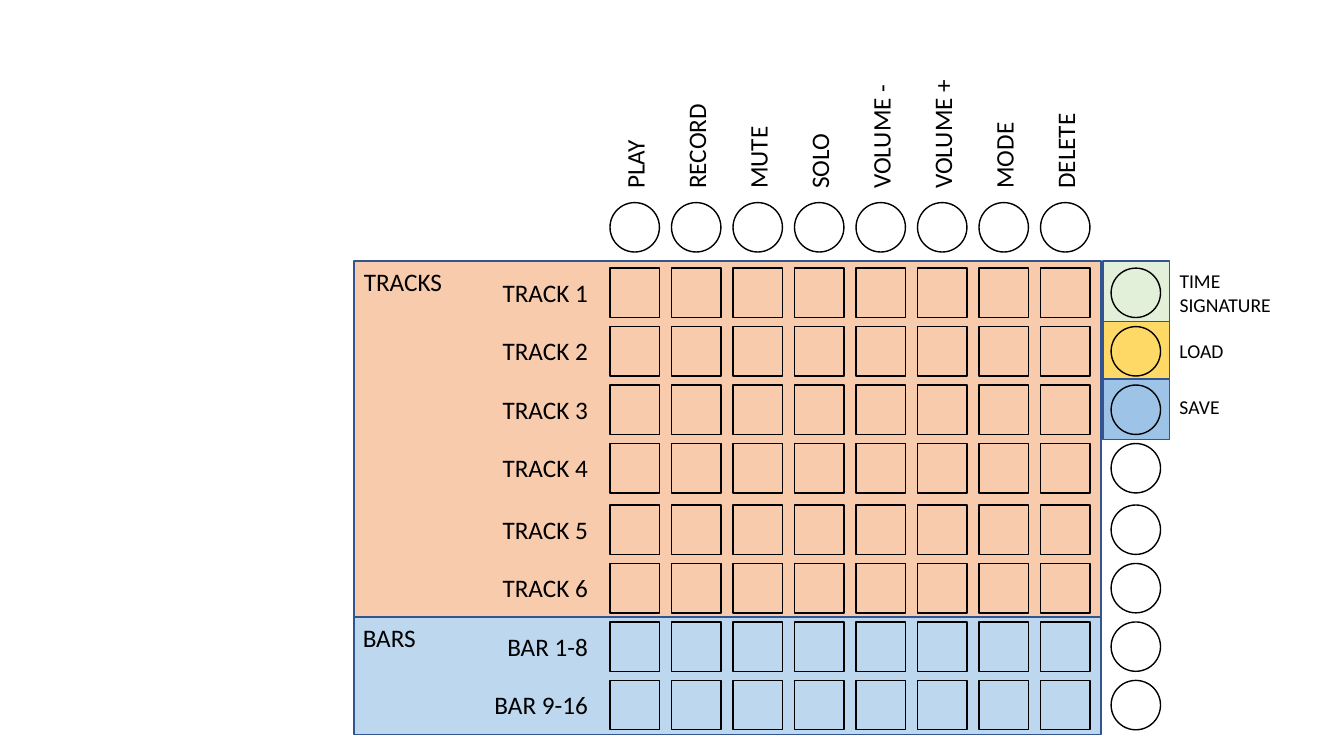
from typing import NamedTuple, Optional

from pptx import Presentation
from pptx.dml.color import RGBColor
from pptx.enum.shapes import MSO_SHAPE
from pptx.enum.text import MSO_AUTO_SIZE, PP_ALIGN
from pptx.util import Inches, Pt

BLACK = RGBColor(0x00, 0x00, 0x00)
NAVY = RGBColor(0x32, 0x54, 0x91)
YELLOW = RGBColor(0xFF, 0xD9, 0x66)
BLUE = RGBColor(0x9D, 0xC3, 0xE6)
GREEN = RGBColor(0xE2, 0xF0, 0xD9)
PALE_BLUE = RGBColor(0xBD, 0xD7, 0xEE)
ORANGE = RGBColor(0xF8, 0xCB, 0xAD)

BUTTON = 0.49
COLUMN_LEFT, COLUMN_STEP = 6.05, 0.61
ROW_TOP, ROW_STEP = 2.66, 0.58
HALF_GAP = 0.03  # extra space between the upper and lower four rows
LABEL_HEIGHT = 0.4
ROW_LABEL_RIGHT = 5.93
COLUMN_LABEL_BOTTOM = 1.97
SIDE_LEFT = 11.02


class Panel(NamedTuple):
    left: float
    top: float
    width: float
    height: float
    fill: RGBColor


class Label(NamedTuple):
    text: str
    width: float


class PlacedLabel(NamedTuple):
    text: str
    left: float
    top: float
    width: float
    height: float
    size: int


PANELS = [
    Panel(10.94, 3.18, 0.66, 0.6, YELLOW),
    Panel(10.94, 3.76, 0.66, 0.6, BLUE),
    Panel(10.94, 2.59, 0.66, 0.6, GREEN),
    Panel(3.51, 6.12, 7.41, 1.17, PALE_BLUE),
    Panel(3.51, 2.59, 7.41, 3.53, ORANGE),
]
COLUMNS = [
    Label("PLAY", 0.69), Label("RECORD", 1.05), Label("MUTE", 0.82), Label("SOLO", 0.75),
    Label("VOLUME -", 1.25), Label("VOLUME +", 1.29), Label("MODE", 0.86), Label("DELETE", 0.96),
]
ROWS = [Label(f"TRACK {n}", 1.06) for n in range(1, 7)]
ROWS += [Label("BAR 1-8", 1.01), Label("BAR 9-16", 1.14)]
PLACED_LABELS = [
    PlacedLabel("BARS", 3.5, 6.12, 0.73, 0.4, 18),
    PlacedLabel("TRACKS", 3.51, 2.59, 0.99, 0.4, 18),
    PlacedLabel("TIME\nSIGNATURE", 11.6, 2.62, 1.12, 0.57, 14),
    PlacedLabel("LOAD", 11.6, 3.31, 0.64, 0.34, 14),
    PlacedLabel("SAVE", 11.6, 3.87, 0.6, 0.34, 14),
]

prs = Presentation()
prs.slide_width, prs.slide_height = Inches(13.33), Inches(7.5)
s = prs.slides.add_slide(prs.slide_layouts[6])


def add_outline(kind: MSO_SHAPE, left: float, top: float, width: float, height: float,
                line: RGBColor = BLACK, fill: Optional[RGBColor] = None) -> None:
    sp = s.shapes.add_shape(kind, Inches(left), Inches(top), Inches(width), Inches(height))
    sp.shadow.inherit = False
    if fill is None:
        sp.fill.background()
    else:
        sp.fill.solid()
        sp.fill.fore_color.rgb = fill
    sp.line.color.rgb = line
    sp.line.width = Pt(1)


def add_button(kind: MSO_SHAPE, left: float, top: float) -> None:
    add_outline(kind, left, top, BUTTON, BUTTON)


def add_label(text: str, left: float, top: float, width: float, height: float = LABEL_HEIGHT,
              size: int = 18, align: PP_ALIGN = PP_ALIGN.LEFT, rotation: int = 0) -> None:
    sp = s.shapes.add_textbox(Inches(left), Inches(top), Inches(width), Inches(height))
    sp.rotation = rotation
    tf = sp.text_frame
    tf.word_wrap = False
    tf.auto_size = MSO_AUTO_SIZE.SHAPE_TO_FIT_TEXT
    p = tf.paragraphs[0]
    p.text = text
    p.alignment = align
    for r in p.runs:
        r.font.name = "Calibri"
        r.font.size = Pt(size)
        r.font.color.rgb = BLACK


# Coloured panels
for panel in PANELS:
    add_outline(MSO_SHAPE.RECTANGLE, panel.left, panel.top, panel.width, panel.height,
                line=NAVY, fill=panel.fill)

# Button grid with a round button above each column
column_lefts = [COLUMN_LEFT + i * COLUMN_STEP for i in range(len(COLUMNS))]
row_tops = [ROW_TOP + i * ROW_STEP + i // 4 * HALF_GAP for i in range(len(ROWS))]
for left in column_lefts:
    for top in row_tops:
        add_button(MSO_SHAPE.RECTANGLE, left, top)
    add_button(MSO_SHAPE.OVAL, left, 2.01)

# Round buttons and names of the rows
for row, top in zip(ROWS, row_tops):
    add_button(MSO_SHAPE.OVAL, SIDE_LEFT, top)
    add_label(row.text, ROW_LABEL_RIGHT - row.width, top + 0.04, row.width, align=PP_ALIGN.RIGHT)

# Column names, reading upwards from a shared baseline
for column, left in zip(COLUMNS, column_lefts):
    add_label(column.text, left + (BUTTON - column.width) / 2,
              COLUMN_LABEL_BOTTOM - (column.width + LABEL_HEIGHT) / 2,
              column.width, rotation=270)

# Section and side names
for label in PLACED_LABELS:
    add_label(*label)

prs.save("out.pptx")
